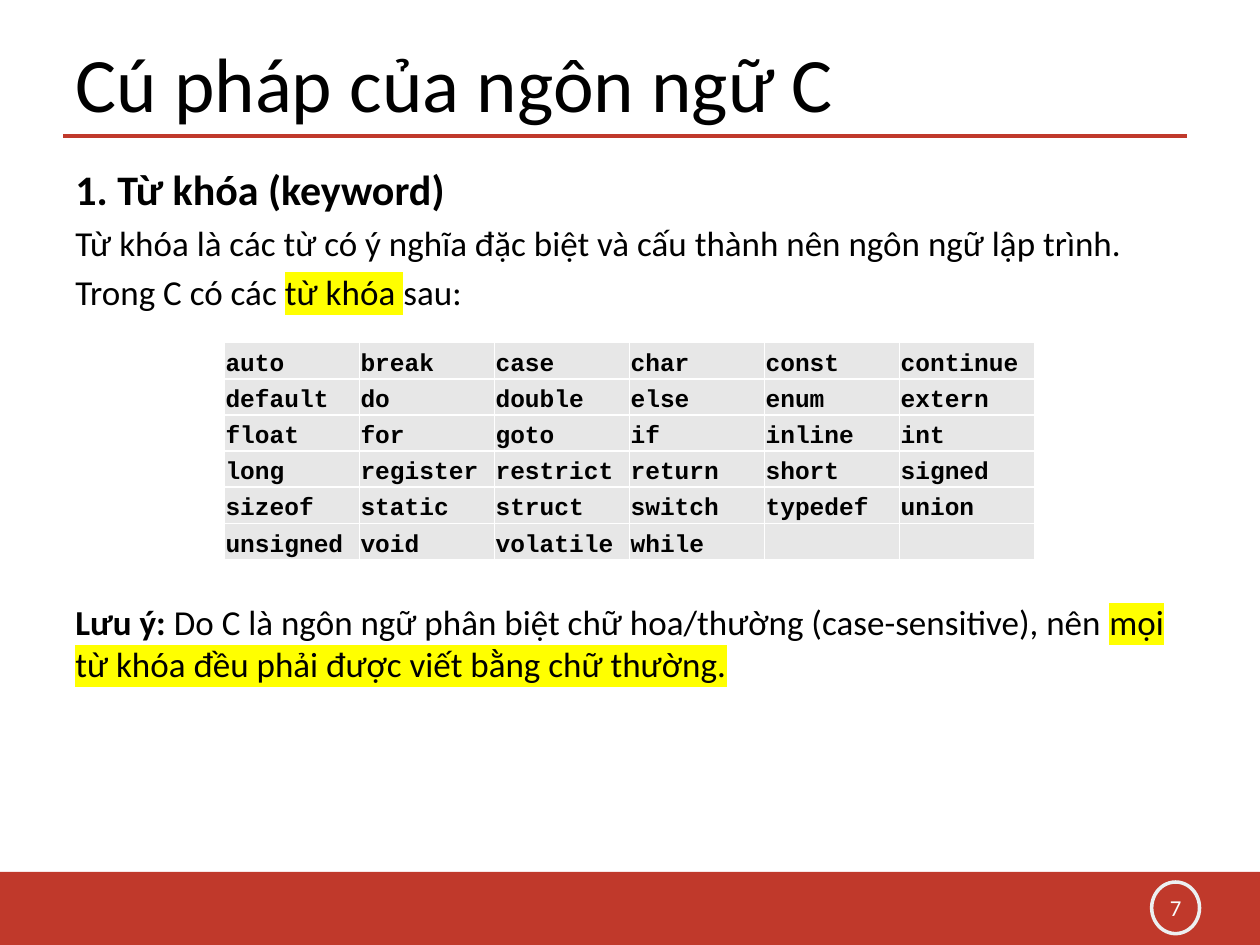
from collections import namedtuple
from dataclasses import dataclass

from lxml import etree
from pptx import Presentation
from pptx import util as u
from pptx.dml.color import RGBColor
from pptx.enum import shapes, text
from pptx.oxml import ns

Box = namedtuple("Box", "left top width height")
Part = namedtuple("Part", "words bold mark", defaults=(False, False))


@dataclass(frozen=True)
class Theme:
    red: str = "C0392B"
    ring: str = "ECF0F1"
    pale: str = "FAFCFC"
    ink: str = "000000"
    cell: str = "E7E7E7"
    edge: str = "FFFFFF"
    mark: str = "FFFF00"
    sans: str = "Calibri"
    mono: str = "Courier New"
    title: int = 44
    head: int = 24
    body: int = 20
    code: int = 14
    page: int = 13


THEME = Theme()

WORDS = """
auto break case char const continue
default do double else enum extern
float for goto if inline int
long register restrict return short signed
sizeof static struct switch typedef union
unsigned void volatile while
""".split()

INTRO = [
    (THEME.head, [Part("1. Từ khóa (keyword)", bold=True)]),
    (THEME.body, [Part("Từ khóa là các từ có ý nghĩa đặc biệt và cấu thành nên ngôn ngữ lập trình.")]),
    (THEME.body, [Part("Trong C có các "), Part("từ khóa ", mark=True), Part("sau:")]),
]
NOTE = [
    (THEME.body, [
        Part("Lưu ý: ", bold=True),
        Part("Do C là ngôn ngữ phân biệt chữ hoa/thường (case-sensitive), nên "),
        Part("mọi từ khóa đều phải được viết bằng chữ thường.", mark=True),
    ]),
]


def rgb(code):
    return RGBColor.from_string(code)


def place(box):
    return [u.Inches(n) for n in box]


def style(para, size, color=THEME.ink, face=THEME.sans, bold=False):
    font = para.font
    font.size, font.name, font.bold = u.Pt(size), face, bold
    font.color.rgb = rgb(color)


def add_fill(parent, color):
    fill = etree.SubElement(parent, ns.qn("a:solidFill"))
    etree.SubElement(fill, ns.qn("a:srgbClr"), val=color)


def add_mark(run):
    light = etree.SubElement(run.font._element, ns.qn("a:highlight"))
    etree.SubElement(light, ns.qn("a:srgbClr"), val=THEME.mark)


def add_label(slide, box, words, size, color, align):
    frame = slide.shapes.add_textbox(*place(box)).text_frame
    frame.word_wrap = True
    frame.vertical_anchor = text.MSO_ANCHOR.MIDDLE
    para = frame.paragraphs[0]
    para.text = words
    para.alignment = align
    style(para, size, color)


def add_prose(slide, box, paras):
    frame = slide.shapes.add_textbox(*place(box)).text_frame
    frame.word_wrap = True
    for i, (size, parts) in enumerate(paras):
        para = frame.add_paragraph() if i else frame.paragraphs[0]
        para.space_before = u.Pt(size * 0.2)
        style(para, size)
        for part in parts:
            run = para.add_run()
            run.text = part.words
            run.font.bold = part.bold
            if part.mark:
                add_mark(run)


def add_header(slide, box):
    add_label(slide, Box(box.left, box.top, 8, 0.69), "Cú pháp của ngôn ngữ C",
              THEME.title, THEME.ink, text.PP_ALIGN.LEFT)
    base = box.top + box.height
    ends = place((box.left, base, box.left + box.width, base))
    rule = slide.shapes.add_connector(shapes.MSO_CONNECTOR.STRAIGHT, *ends)
    rule.line.color.rgb = rgb(THEME.red)
    rule.line.width = u.Pt(2.25)
    etree.SubElement(rule._element.spPr, ns.qn("a:effectLst"))


def add_footer(slide, box):
    band = slide.shapes.add_shape(shapes.MSO_SHAPE.RECTANGLE, *place(box))
    band.shadow.inherit = False
    band.fill.solid()
    band.fill.fore_color.rgb = rgb(THEME.red)
    band.line.fill.background()
    right = box.left + box.width
    spot = Box(right - 0.86, box.top + 0.08, 0.38, 0.41)
    ring = slide.shapes.add_shape(shapes.MSO_SHAPE.OVAL, *place(spot))
    ring.shadow.inherit = False
    ring.fill.background()
    ring.line.color.rgb = rgb(THEME.ring)
    ring.line.width = u.Pt(2)
    add_label(slide, Box(right - 0.92, box.top + 0.12, 0.5, 0.32), "7",
              THEME.page, THEME.pale, text.PP_ALIGN.CENTER)


def style_cell(cell):
    cell.margin_left = cell.margin_top = cell.margin_right = u.Inches(0.01)
    cell.margin_bottom = 0
    cell.vertical_anchor = text.MSO_ANCHOR.BOTTOM
    props = cell._tc.get_or_add_tcPr()
    for side in ("lnL", "lnR", "lnT", "lnB"):
        edge = etree.SubElement(props, ns.qn("a:" + side), w=str(u.Pt(1)))
        add_fill(edge, THEME.edge)
    cell.fill.solid()
    cell.fill.fore_color.rgb = rgb(THEME.cell)
    style(cell.text_frame.paragraphs[0], THEME.code, face=THEME.mono, bold=True)


def add_words(slide, box, words, cols=6):
    rows = -(-len(words) // cols)
    grid = slide.shapes.add_table(rows, cols, *place(box)).table
    grid.first_row = grid.horz_banding = False
    for i in range(rows * cols):
        cell = grid.cell(*divmod(i, cols))
        if i < len(words):
            cell.text = words[i]
        style_cell(cell)


def main():
    deck = Presentation()
    deck.slide_width, deck.slide_height = u.Inches(10), u.Inches(7.5)
    slide = deck.slides.add_slide(deck.slide_layouts[6])
    add_footer(slide, Box(0, 6.92, 10, 0.58))
    add_header(slide, Box(0.5, 0.3, 8.92, 0.78))
    add_prose(slide, Box(0.5, 1.25, 9, 1.19), INTRO)
    add_words(slide, Box(1.78, 2.72, 6.43, 1.72), WORDS)
    add_prose(slide, Box(0.5, 4.72, 9, 0.82), NOTE)
    deck.save("out.pptx")


if __name__ == "__main__":
    main()
